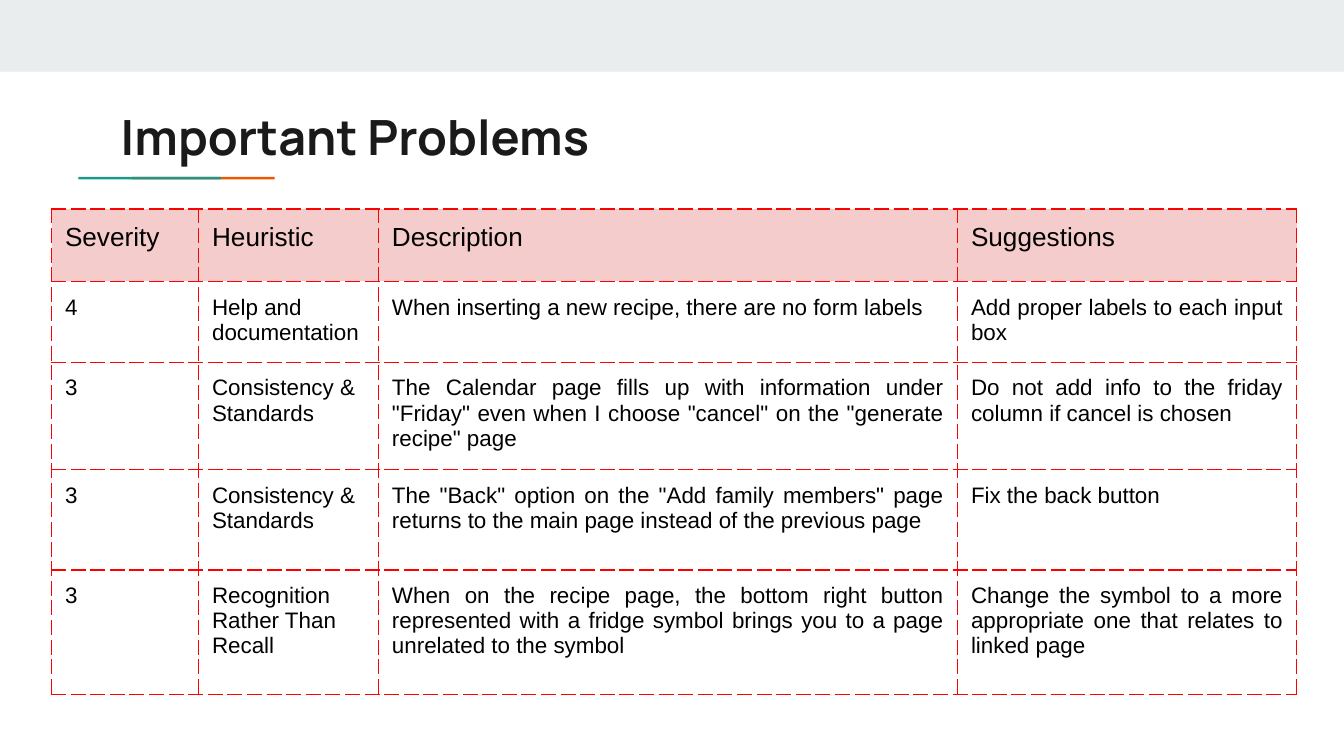
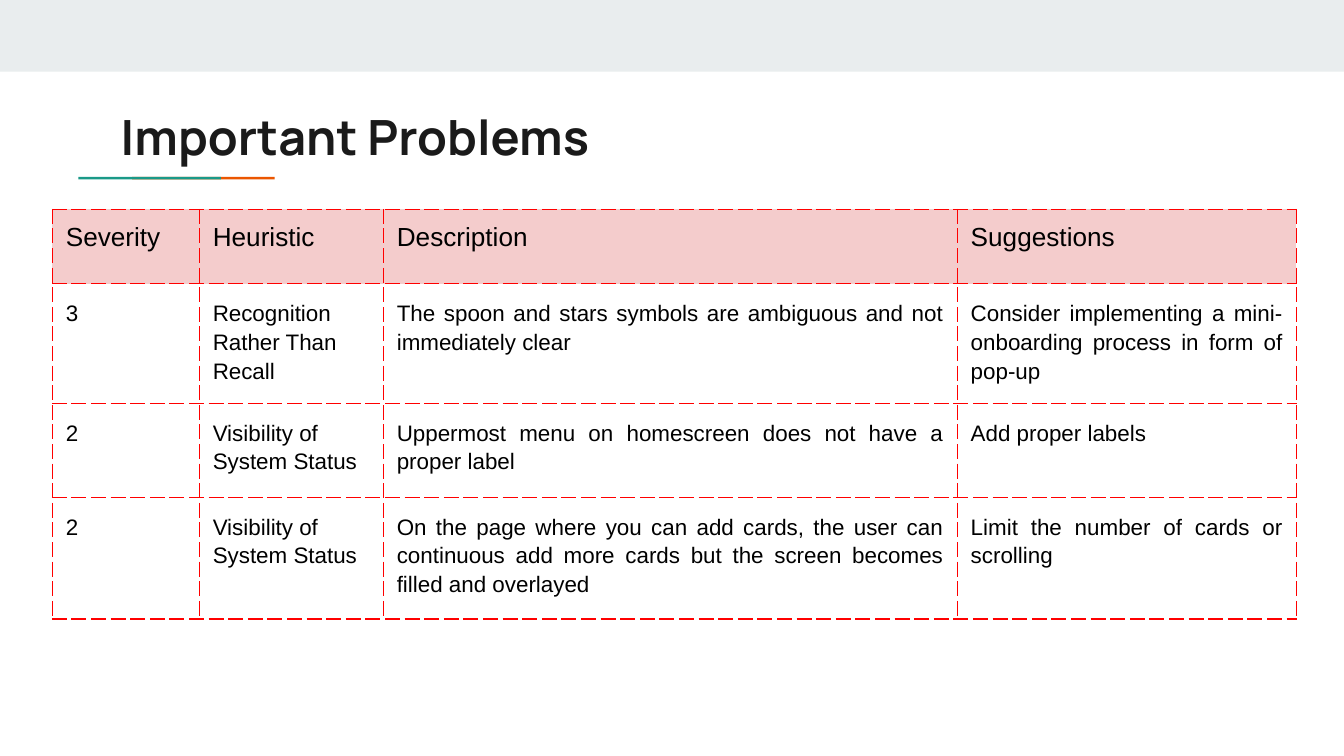
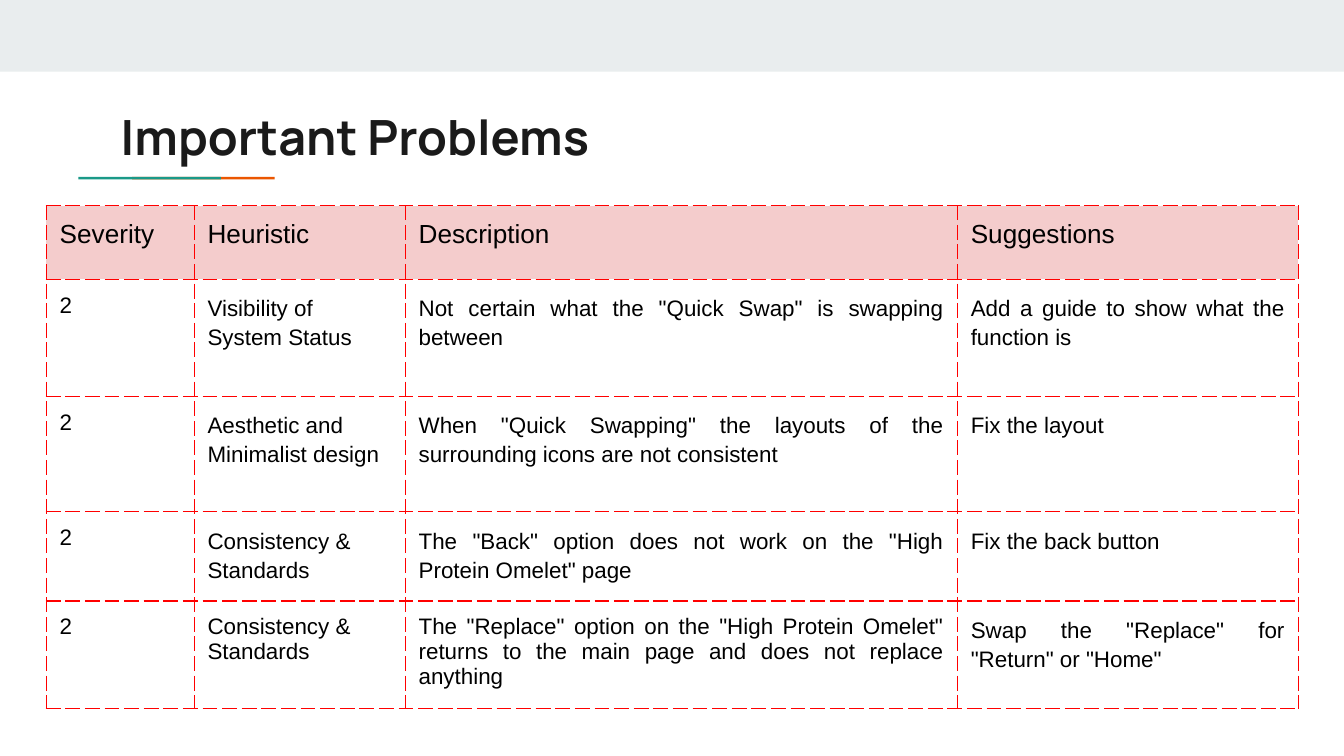
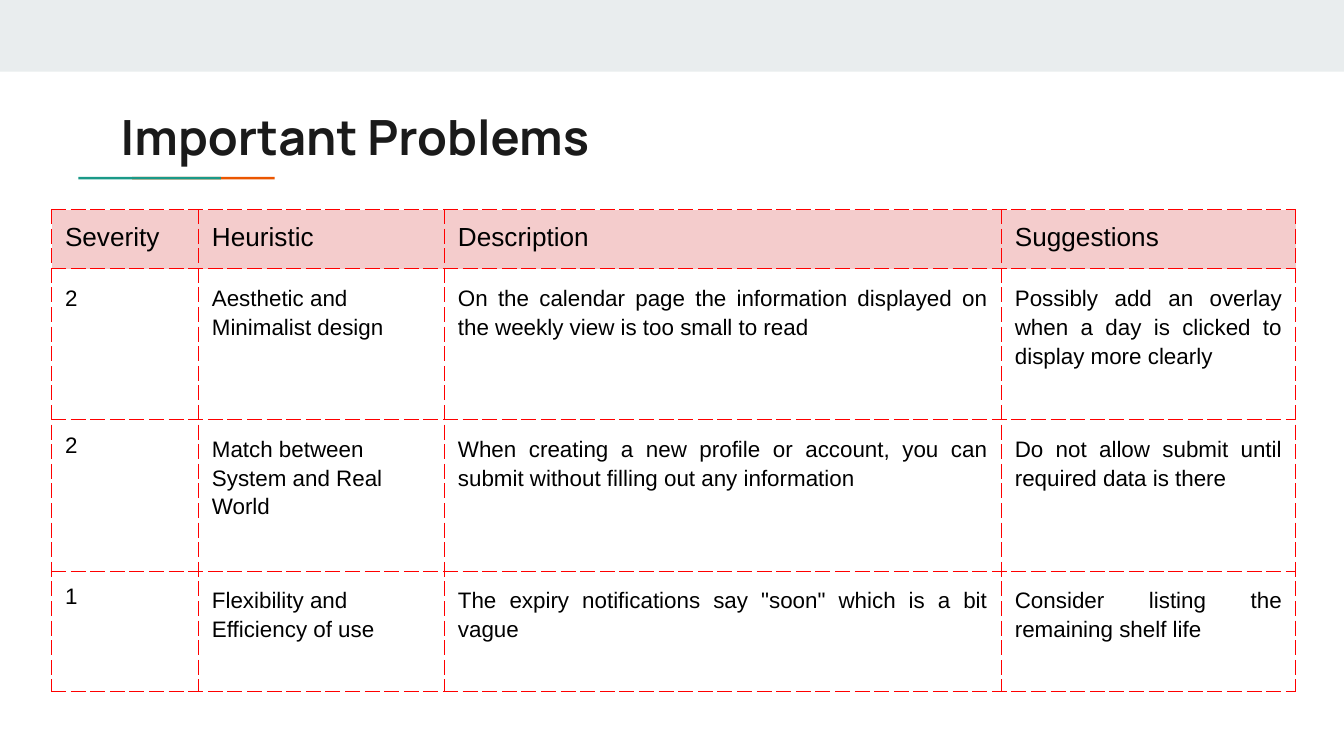
from dataclasses import dataclass
from itertools import product

from lxml.etree import SubElement
from pptx import Presentation
from pptx.dml.color import RGBColor
from pptx.enum.shapes import MSO_SHAPE as Preset
from pptx.enum.text import MSO_ANCHOR as Anchor, PP_ALIGN as Align
from pptx.oxml.ns import qn
from pptx.util import Pt


@dataclass(frozen=True)
class Theme:
    """Colours, fonts and sizes (points) shared by all slides."""
    band: str = "E9EDEE"
    teal: str = "1A9988"
    orange: str = "EB5600"
    title: str = "1A1A1A"
    text: str = "000000"
    header: str = "F4CCCC"
    border: str = "FF0000"
    title_font: str = "Manrope"
    body_font: str = "Arial"
    title_size: float = 26
    header_size: float = 14
    body_size: float = 12
    inset: float = 7.2
    border_width: float = 0.75
    loose: float = 1.15


@dataclass(frozen=True)
class ProblemTable:
    """One table: its corner, grid sizes in points, rows and text setting."""
    left: float
    top: float
    columns: tuple
    heights: tuple
    problems: tuple
    tight: frozenset = frozenset()      # (row, column) cells with single spacing
    justified: frozenset = frozenset({2, 3})
    justified_header: bool = False


THEME = Theme()
WIDTH, HEIGHT = 720, 405
HEADINGS = ("Severity", "Heuristic", "Description", "Suggestions")

TABLES = (
    ProblemTable(
        27.65, 112, (78.8, 96.4, 310.2, 181.6), (38.8, 42.7, 57.1, 53.7, 66.9),
        (("4", "Help and documentation",
          "When inserting a new recipe, there are no form labels",
          "Add proper labels to each input box"),
         ("3", "Consistency & Standards",
          'The Calendar page fills up with information under "Friday" even when '
          'I choose "cancel" on the "generate recipe" page',
          "Do not add info to the friday column if cancel is chosen"),
         ("3", "Consistency & Standards",
          'The "Back" option on the "Add family members" page returns to the '
          "main page instead of the previous page",
          "Fix the back button"),
         ("3", "Recognition Rather Than Recall",
          "When on the recipe page, the bottom right button represented with a "
          "fridge symbol brings you to a page unrelated to the symbol",
          "Change the symbol to a more appropriate one that relates to linked page")),
        tight=frozenset(product(range(1, 5), range(4))),
        justified=frozenset({0, 2, 3}), justified_header=True),
    ProblemTable(
        28.1, 112.2, (78.7, 98.6, 307.5, 181.6), (39.9, 50.4, 50.4, 65),
        (("3", "Recognition Rather Than Recall",
          "The spoon and stars symbols are ambiguous and not immediately clear",
          "Consider implementing a mini-onboarding process in form of pop-up"),
         ("2", "Visibility of System Status",
          "Uppermost menu on homescreen does not have a proper label",
          "Add proper labels"),
         ("2", "Visibility of System Status",
          "On the page where you can add cards, the user can continuous add more "
          "cards but the screen becomes filled and overlayed",
          "Limit the number of cards or scrolling"))),
    ProblemTable(
        24.8, 110.3, (79.2, 113.1, 295.8, 182.7), (39.4, 62.6, 61.9, 47.8, 57.8),
        (("2", "Visibility of System Status",
          'Not certain what the "Quick Swap" is swapping between',
          "Add a guide to show what the function is"),
         ("2", "Aesthetic and Minimalist design",
          'When "Quick Swapping" the layouts of the surrounding icons are not consistent',
          "Fix the layout"),
         ("2", "Consistency & Standards",
          'The "Back" option does not work on the "High Protein Omelet" page',
          "Fix the back button"),
         ("2", "Consistency & Standards",
          'The "Replace" option on the "High Protein Omelet" returns to the main '
          "page and does not replace anything",
          'Swap the "Replace" for "Return" or "Home"')),
        tight=frozenset({(1, 0), (2, 0), (3, 0), (4, 0), (4, 1), (4, 2)})),
    ProblemTable(
        27.65, 112.3, (78.7, 131.8, 298.4, 157.6), (31.7, 80.9, 81.1, 64.4),
        (("2", "Aesthetic and Minimalist design",
          "On the calendar page the information displayed on the weekly view is "
          "too small to read",
          "Possibly add an overlay when a day is clicked to display more clearly"),
         ("2", "Match between System and Real World",
          "When creating a new profile or account, you can submit without filling "
          "out any information",
          "Do not allow submit until required data is there"),
         ("1", "Flexibility and Efficiency of use",
          'The expiry notifications say "soon" which is a bit vague',
          "Consider listing the remaining shelf life")),
        tight=frozenset({(2, 0), (3, 0)})),
)


def style_run(run, font, size, color, bold=False):
    """Set the font of a run."""
    run.font.name = font
    run.font.size = Pt(size)
    run.font.bold = bold
    run.font.color.rgb = RGBColor.from_string(color)


def add_bar(shapes, left, top, width, height, color):
    """Place a plain filled rectangle and return it."""
    shape = shapes.add_shape(
        Preset.RECTANGLE, Pt(left), Pt(top), Pt(width), Pt(height))
    shape.shadow.inherit = False
    shape.fill.solid()
    shape.fill.fore_color.rgb = RGBColor.from_string(color)
    shape.line.fill.background()
    return shape


def add_accent(slide, left, top, width, height):
    """Place the two-colour rule: turned bars in a group stretched to width."""
    thickness, step = 1.4, 11.12
    group = slide.shapes.add_group_shape()
    for offset, color in ((step, THEME.orange), (0, THEME.teal)):
        bar = add_bar(group.shapes, left + offset, top, thickness, height, color)
        bar.rotation = 270
    group.width = Pt(width)


def add_title(slide, left, top, width, height, title):
    """Place the slide title."""
    box = slide.shapes.add_textbox(Pt(left), Pt(top), Pt(width), Pt(height))
    frame = box.text_frame
    frame.word_wrap = True
    frame.vertical_anchor = Anchor.TOP
    frame.margin_left = frame.margin_right = Pt(THEME.inset)
    frame.margin_top = frame.margin_bottom = Pt(THEME.inset)
    frame.text = title
    style_run(frame.paragraphs[0].runs[0], THEME.title_font, THEME.title_size,
              THEME.title, bold=True)


def set_borders(cell):
    """Give all four sides of a cell the dashed border."""
    properties = cell._tc.get_or_add_tcPr()
    for position, side in enumerate(("a:lnL", "a:lnR", "a:lnT", "a:lnB")):
        line = SubElement(properties, qn(side), w=str(Pt(THEME.border_width)))
        fill = SubElement(line, qn("a:solidFill"))
        SubElement(fill, qn("a:srgbClr"), val=THEME.border)
        SubElement(line, qn("a:prstDash"), val="dash")
        properties.insert(position, line)   # borders come before the fill


def fill_cell(cell, text, size, align, spacing=None, color=None):
    """Write and format one table cell."""
    cell.margin_left = cell.margin_right = Pt(THEME.inset)
    cell.margin_top = cell.margin_bottom = Pt(THEME.inset)
    cell.vertical_anchor = Anchor.TOP
    if color:
        cell.fill.solid()
        cell.fill.fore_color.rgb = RGBColor.from_string(color)
    else:
        cell.fill.background()
    set_borders(cell)
    cell.text_frame.text = text
    paragraph = cell.text_frame.paragraphs[0]
    paragraph.alignment = align
    if spacing:
        paragraph.line_spacing = spacing
    style_run(paragraph.runs[0], THEME.body_font, size, THEME.text)


def add_problem_table(slide, content):
    """Place a table of problems under its header row."""
    table = slide.shapes.add_table(
        len(content.heights), len(content.columns), Pt(content.left), Pt(content.top),
        Pt(sum(content.columns)), Pt(sum(content.heights))).table
    table.first_row = table.horz_banding = False
    for column, width in zip(table.columns, content.columns):
        column.width = Pt(width)
    for row, height in zip(table.rows, content.heights):
        row.height = Pt(height)

    header_align = Align.JUSTIFY if content.justified_header else Align.LEFT
    for column, heading in enumerate(HEADINGS):
        fill_cell(table.cell(0, column), heading, THEME.header_size, header_align,
                  color=THEME.header)
    for row, problem in enumerate(content.problems, start=1):
        for column, text in enumerate(problem):
            align = Align.JUSTIFY if column in content.justified else Align.LEFT
            spacing = None if (row, column) in content.tight else THEME.loose
            fill_cell(table.cell(row, column), text, THEME.body_size, align, spacing)


def add_problem_slide(presentation, content):
    """Add a slide with band, title, rule and table."""
    slide = presentation.slides.add_slide(presentation.slide_layouts[6])
    add_bar(slide.shapes, 0, 0, WIDTH, 38.4, THEME.band)
    add_accent(slide, 78.4, 80.7, 32.4, 29.5)
    add_title(slide, 57.6, 50.1, 605.5, 42.5, "Important Problems")
    add_problem_table(slide, content)


def main():
    """Build and save the presentation."""
    presentation = Presentation()
    presentation.slide_width, presentation.slide_height = Pt(WIDTH), Pt(HEIGHT)
    for content in TABLES:
        add_problem_slide(presentation, content)
    presentation.save("out.pptx")


main()
